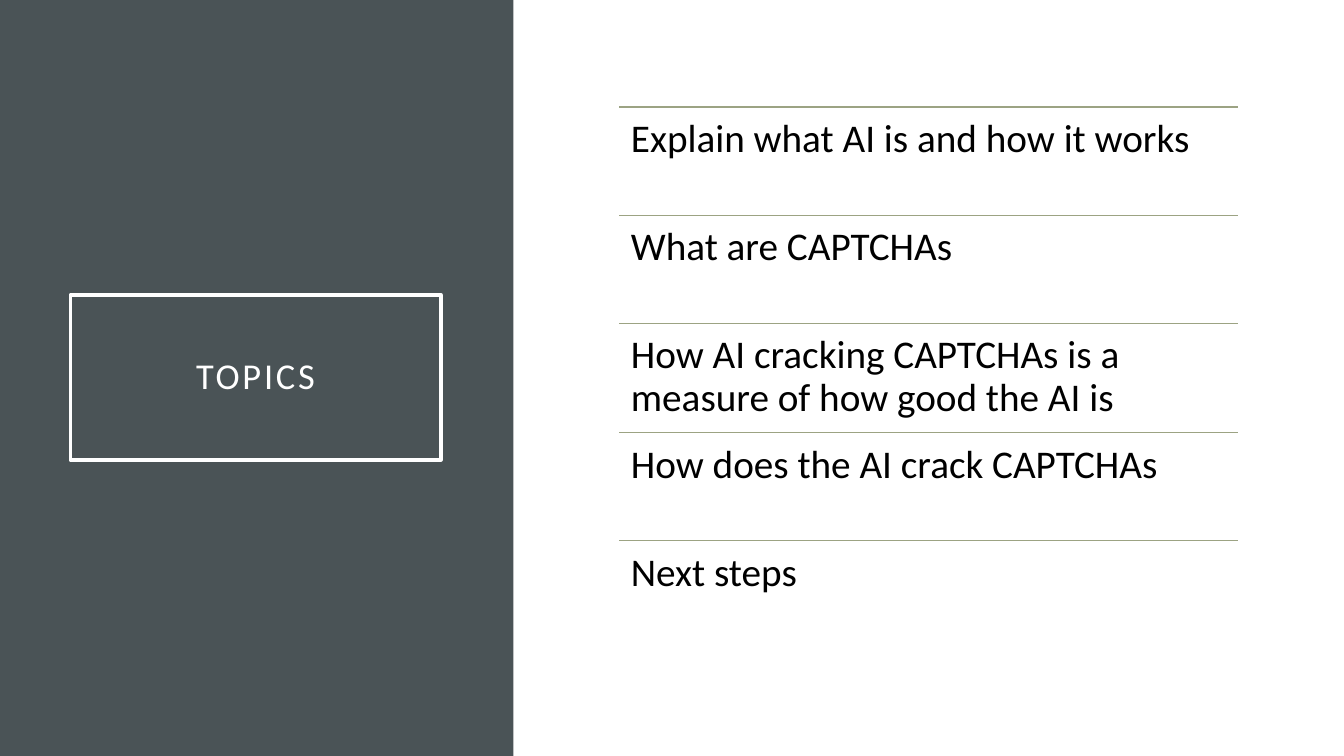
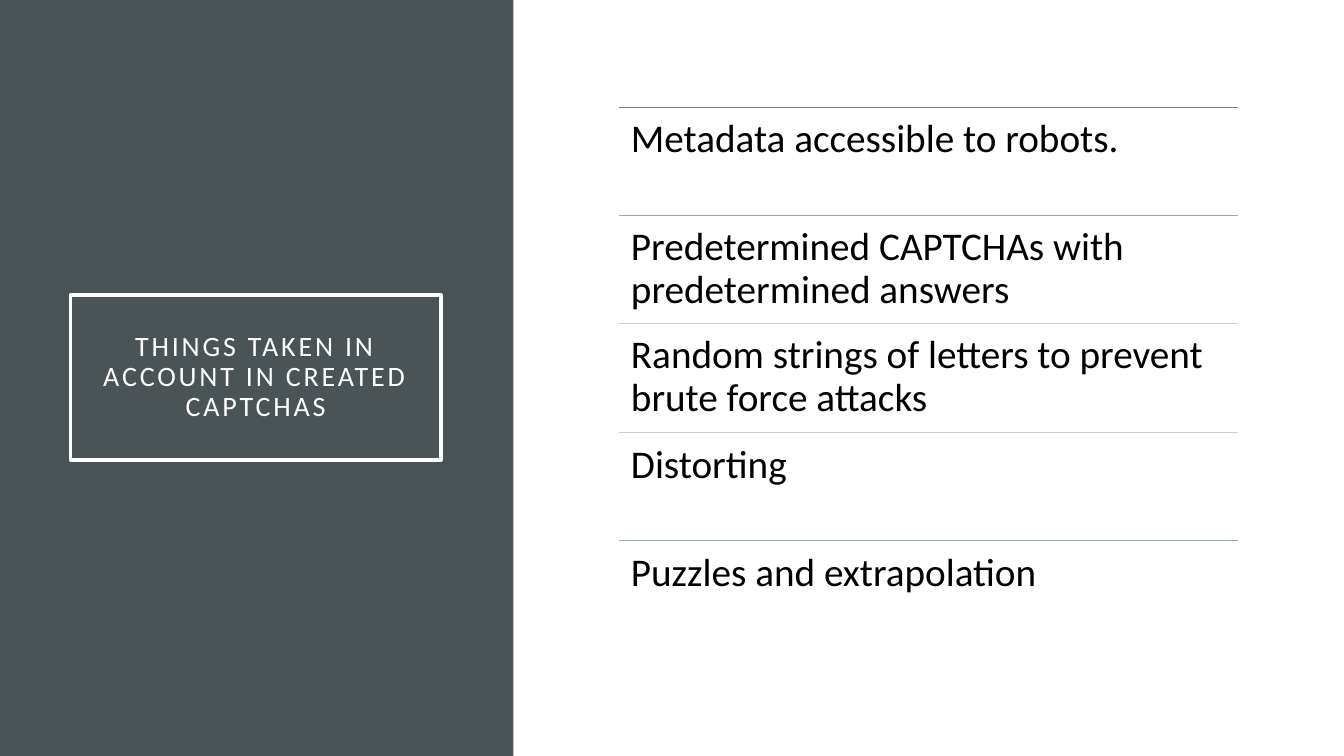
from dataclasses import dataclass

from lxml import etree
from pptx import Presentation
from pptx import util as u
from pptx.dml.color import RGBColor
from pptx.enum import shapes, text
from pptx.oxml.ns import qn

PX = 9525  # EMU per px, 96 px to the inch
SLIDE_W, SLIDE_H = 1280, 720
PANEL_W = 489
TITLE_BOX = (67, 281, 353, 157)
TITLE_INSET = 19
LIST_X, LIST_Y, LIST_W, LIST_H = 590, 102, 589, 517
LIST_INSET = 11

FONT = "Calibri"
WHITE = RGBColor(0xFF, 0xFF, 0xFF)
BLACK = RGBColor(0x00, 0x00, 0x00)
SLATE = RGBColor(0x4A, 0x53, 0x56)
SAGE = RGBColor(0x9C, 0xA3, 0x83)
STEEL = RGBColor(0x73, 0x81, 0x86)
MIST = RGBColor(0x9B, 0xA9, 0xAD)
PALE = RGBColor(0xC6, 0xCF, 0xD1)


@dataclass(frozen=True)
class Item:
    label: str
    rule: RGBColor


@dataclass(frozen=True)
class ListSlide:
    title: str
    title_pt: int
    rule_pt: float
    items: tuple[Item, ...]


SLIDES = (
    ListSlide("TOPICS", 26, 1, (
        Item("Explain what AI is and how it works", SAGE),
        Item("What are CAPTCHAs", SAGE),
        Item("How AI cracking CAPTCHAs is a measure of how good the AI is", SAGE),
        Item("How does the AI crack CAPTCHAs", SAGE),
        Item("Next steps", SAGE),
    )),
    ListSlide("THINGS TAKEN IN ACCOUNT IN CREATED CAPTCHAS", 20, 0.5, (
        Item("Metadata accessible to robots.", STEEL),
        Item("Predetermined CAPTCHAs with predetermined answers", MIST),
        Item("Random strings of letters to prevent brute force attacks", PALE),
        Item("Distorting", PALE),
        Item("Puzzles and extrapolation", MIST),
    )),
)


def emu(*lengths: int) -> list[int]:
    return [u.Emu(n * PX) for n in lengths]


def set_text(sp, label: str, size: int, color: RGBColor, inset: int,
             anchor, align, tracking: int = 0) -> None:
    """Fill a shape with one paragraph; tracking is in points."""
    tf = sp.text_frame
    margin = u.Emu(inset * PX)
    frame_format = {"word_wrap": True, "vertical_anchor": anchor,
                    "margin_left": margin, "margin_right": margin,
                    "margin_top": margin, "margin_bottom": margin}
    for name, value in frame_format.items():
        setattr(tf, name, value)
    p = tf.paragraphs[0]
    p.alignment = align
    p.line_spacing = 0.9
    r = p.add_run()
    r.text = label
    for name, value in {"name": FONT, "size": u.Pt(size)}.items():
        setattr(r.font, name, value)
    r.font.color.rgb = color
    if tracking:
        r.font._element.set("spc", str(tracking * 100))


def add_rect(s, box: tuple[int, int, int, int]):
    sp = s.shapes.add_shape(shapes.MSO_SHAPE.RECTANGLE, *emu(*box))
    sp.shadow.inherit = False
    return sp


def add_title_panel(s, content: ListSlide) -> None:
    panel = add_rect(s, (0, 0, PANEL_W, SLIDE_H))
    panel.fill.solid()
    panel.fill.fore_color.rgb = SLATE
    panel.line.fill.background()

    title = add_rect(s, TITLE_BOX)
    title.fill.background()
    title.line.color.rgb = WHITE
    title.line.width = u.Pt(2.5)
    set_text(title, content.title, content.title_pt, WHITE, TITLE_INSET,
             text.MSO_ANCHOR.MIDDLE, text.PP_ALIGN.CENTER, tracking=2)


def add_rule(s, y: int, color: RGBColor, width: float) -> None:
    line = s.shapes.add_connector(shapes.MSO_CONNECTOR.STRAIGHT,
                                  *emu(LIST_X, y, LIST_X + LIST_W, y))
    line.line.color.rgb = color
    line.line.width = u.Pt(width)
    etree.SubElement(line._element.spPr, qn("a:effectLst"))


def add_list(s, content: ListSlide) -> None:
    count = len(content.items)
    for i, item in enumerate(content.items):
        y = LIST_Y + i * LIST_H // count
        add_rule(s, y, item.rule, content.rule_pt)
        box = s.shapes.add_textbox(*emu(LIST_X, y, LIST_W, LIST_H // count))
        set_text(box, item.label, 28, BLACK, LIST_INSET,
                 text.MSO_ANCHOR.TOP, text.PP_ALIGN.LEFT)


def main() -> None:
    prs = Presentation()
    prs.slide_width, prs.slide_height = emu(SLIDE_W, SLIDE_H)
    for content in SLIDES:
        s = prs.slides.add_slide(prs.slide_layouts[6])
        add_title_panel(s, content)
        add_list(s, content)
    prs.save("out.pptx")


if __name__ == "__main__":
    main()
